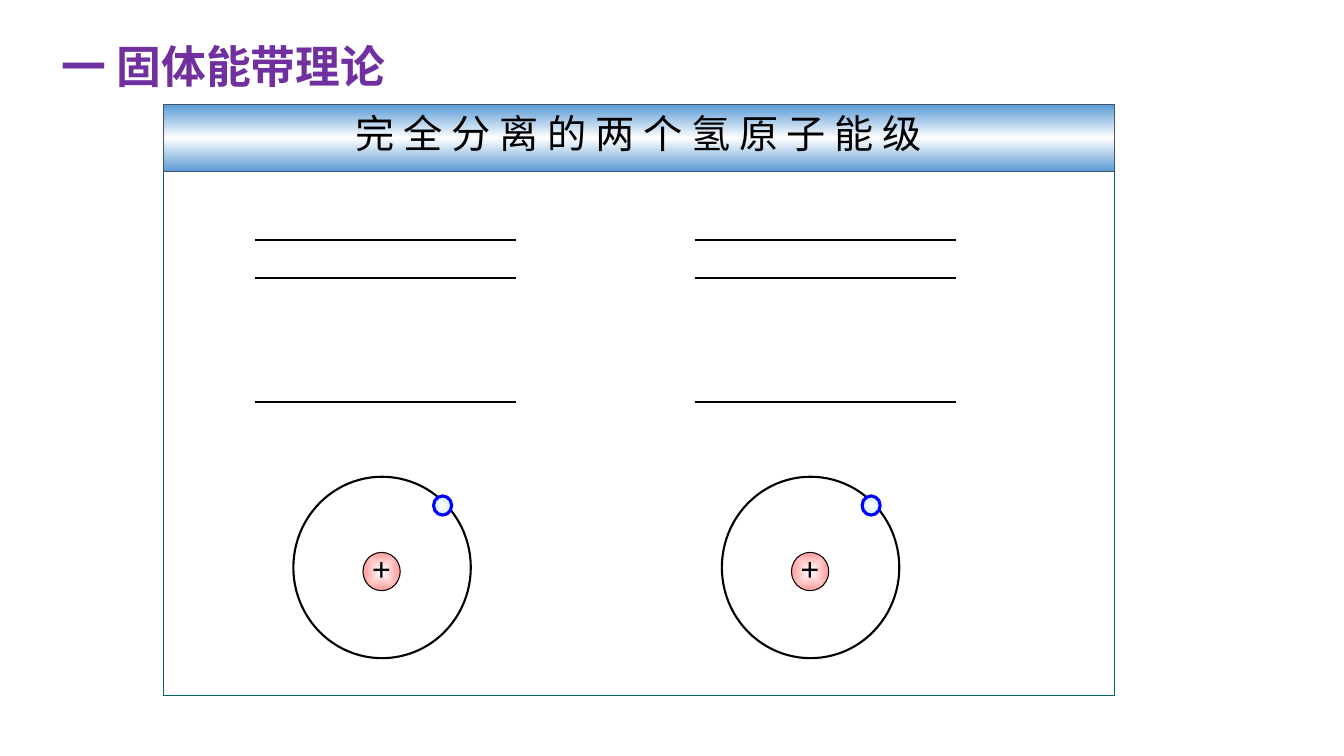
from pptx import Presentation
from pptx.dml.color import RGBColor
from pptx.enum.shapes import MSO_CONNECTOR, MSO_SHAPE
from pptx.enum.text import MSO_ANCHOR, PP_ALIGN
from pptx.oxml import parse_xml
from pptx.oxml.ns import nsdecls, qn
from pptx.util import Inches, Pt
from lxml import etree

RECT, OVAL = MSO_SHAPE.RECTANGLE, MSO_SHAPE.OVAL
STRAIGHT = MSO_CONNECTOR.STRAIGHT
LEFT, CENTER = PP_ALIGN.LEFT, PP_ALIGN.CENTER
TOP, MIDDLE = MSO_ANCHOR.TOP, MSO_ANCHOR.MIDDLE

BLACK = RGBColor(0x00, 0x00, 0x00)
WHITE = RGBColor(0xFF, 0xFF, 0xFF)
PURPLE = RGBColor(0x70, 0x30, 0xA0)
TEAL = RGBColor(0x00, 0x66, 0x66)
SLATE = RGBColor(0x44, 0x54, 0x6A)
SKY = RGBColor(0x5B, 0x9B, 0xD5)
BLUE = RGBColor(0x00, 0x00, 0xFF)
PALE_BLUE = RGBColor(0xCC, 0xEC, 0xFF)
PINK = RGBColor(0xFF, 0x99, 0x99)

CJK, LATIN = "Noto Sans CJK SC", "Times New Roman"

LINEAR = '<a:lin ang="5400000" scaled="1"/>'
RADIAL = ('<a:path path="shape"><a:fillToRect l="50000" t="50000" '
          'r="50000" b="50000"/></a:path>')


def set_gradient(sp, colors, direction):
    """Fill sp with evenly spaced colour stops."""
    step = 100000 // (len(colors) - 1)
    stops = "".join(
        f'<a:gs pos="{i * step}"><a:srgbClr val="{color}"/></a:gs>'
        for i, color in enumerate(colors))
    grad = parse_xml(f'<a:gradFill {nsdecls("a")} rotWithShape="1">'
                     f'<a:gsLst>{stops}</a:gsLst>{direction}</a:gradFill>')
    sp._element.spPr.find(qn("a:prstGeom")).addnext(grad)


def add_outlined(s, kind, left, top, width, height, color, weight):
    sp = s.shapes.add_shape(kind, Inches(left), Inches(top),
                            Inches(width), Inches(height))
    sp.shadow.inherit = False
    sp.line.color.rgb = color
    sp.line.width = Pt(weight)
    return sp


def write_text(sp, text, size, font, color, align, anchor, bold=False, wrap=True):
    tf = sp.text_frame
    tf.word_wrap = wrap
    tf.vertical_anchor = anchor
    p = tf.paragraphs[0]
    p.text = text
    p.alignment = align
    p.font.size = Pt(size)
    p.font.bold = bold
    p.font.color.rgb = color
    p.font.name = font
    ea = etree.SubElement(p.font._element, qn("a:ea"))
    ea.set("typeface", font)


def add_title(s, left, top, width, height):
    sp = s.shapes.title
    sp.left, sp.top = Inches(left), Inches(top)
    sp.width, sp.height = Inches(width), Inches(height)
    write_text(sp, "一 固体能带理论", 32, CJK, PURPLE, LEFT, MIDDLE,
               bold=True, wrap=False)


def add_levels(s, left, top, width):
    """Three energy levels, the upper two close together."""
    for offset in (0, 0.38, 1.61):
        y = Inches(top + offset)
        level = s.shapes.add_connector(STRAIGHT, Inches(left), y,
                                       Inches(left + width), y)
        level.line.color.rgb = BLACK
        level.line.width = Pt(1.5)
        etree.SubElement(level._element.spPr, qn("a:effectLst"))


def add_atom(s, left, top):
    orbit = add_outlined(s, OVAL, left, top, 1.76, 1.8, BLACK, 1.5)
    orbit.fill.background()
    electron = add_outlined(s, OVAL, left + 1.39, top + 0.19, 0.18, 0.19, BLUE, 2.25)
    set_gradient(electron, (WHITE, PALE_BLUE), RADIAL)
    nucleus = add_outlined(s, OVAL, left + 0.69, top + 0.75, 0.37, 0.38, BLACK, 0.75)
    set_gradient(nucleus, (WHITE, PINK), RADIAL)
    charge = s.shapes.add_textbox(Inches(left + 0.68), Inches(top + 0.66),
                                  Inches(0.43), Inches(0.57))
    write_text(charge, "+", 24, LATIN, BLACK, LEFT, TOP, bold=True, wrap=False)


def add_panel(s, left, top, width, height):
    frame = add_outlined(s, RECT, left, top, width, height, TEAL, 0.75)
    frame.fill.solid()
    frame.fill.fore_color.rgb = WHITE
    banner = add_outlined(s, RECT, left, top, width, 0.66, SLATE, 0.75)
    set_gradient(banner, (SKY, WHITE, SKY), LINEAR)
    write_text(banner, "完 全 分 离 的 两 个 氢 原 子 能 级", 28, CJK, BLACK,
               CENTER, TOP)
    for i in range(2):
        add_levels(s, left + 0.91 + 4.36 * i, top + 1.34, 2.59)
        add_atom(s, left + 1.29 + 4.25 * i, top + 3.69)


def main():
    prs = Presentation()
    prs.slide_width, prs.slide_height = Inches(13.33), Inches(7.5)
    s = prs.slides.add_slide(prs.slide_layouts[5])
    add_title(s, 0.51, 0.33, 3.57, 0.64)
    add_panel(s, 1.62, 1.04, 9.43, 5.86)
    prs.save("out.pptx")


if __name__ == "__main__":
    main()
